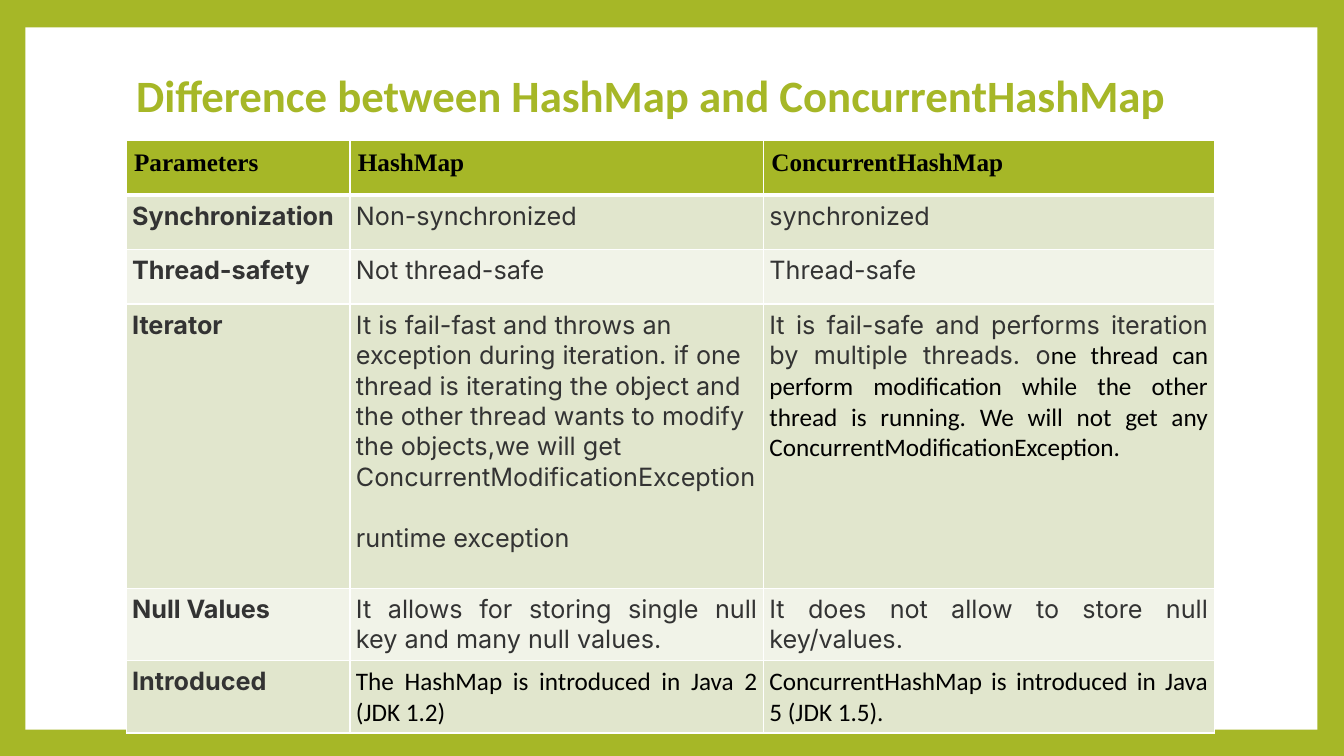
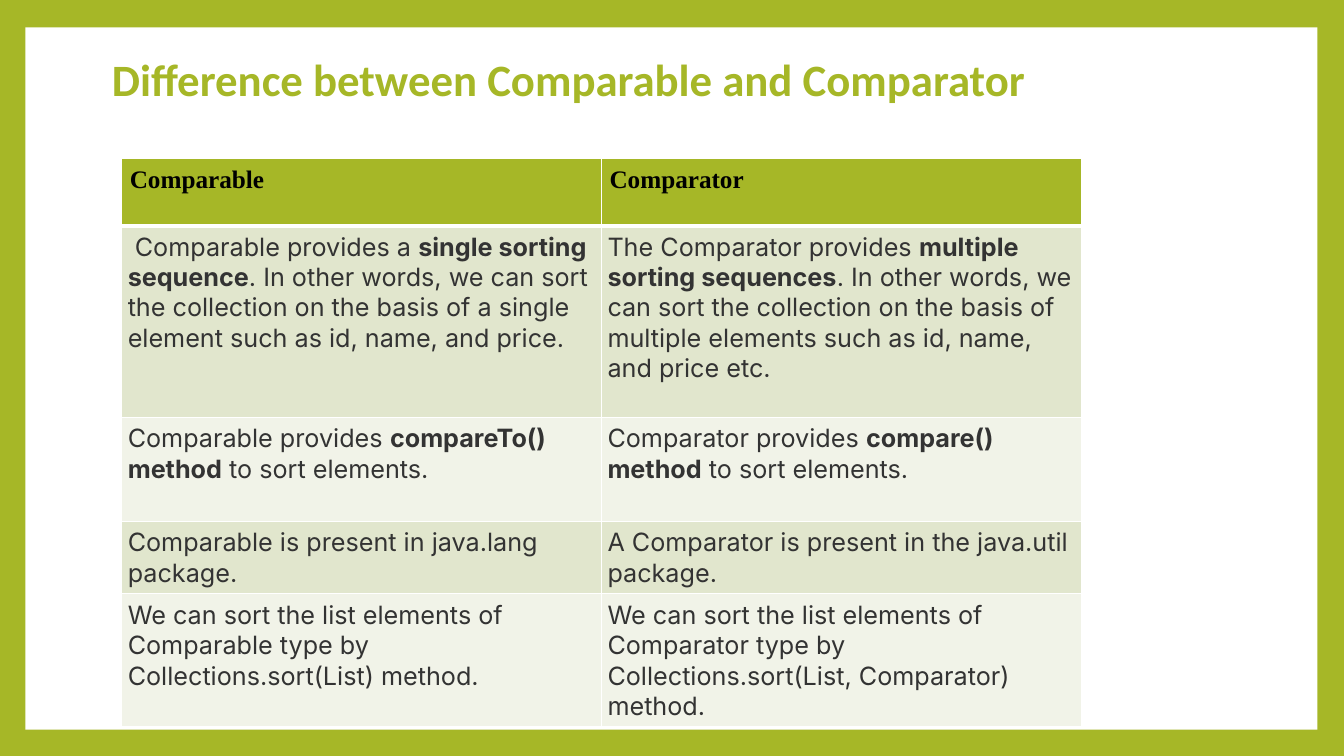
from dataclasses import dataclass

from lxml import etree
from pptx import Presentation
from pptx.dml.color import RGBColor
from pptx.enum.shapes import MSO_SHAPE
from pptx.enum.text import MSO_ANCHOR, PP_ALIGN
from pptx.oxml.ns import qn
from pptx.util import Cm, Pt

RECTANGLE = MSO_SHAPE.RECTANGLE
MIDDLE = MSO_ANCHOR.MIDDLE
LEFT, JUSTIFY = PP_ALIGN.LEFT, PP_ALIGN.JUSTIFY

GREEN, WHITE, BLACK, GREY = "A6B727", "FFFFFF", "000000", "333333"
BANDS = ("E1E6CD", "F1F3E8")
TITLE_SIZE, TABLE_SIZE = 32, 18
HEADER_INSET, BODY_INSET = 0.2, 0.15
PARAGRAPH_GAP = 22


@dataclass(frozen=True)
class Style:
    name: str
    color: str
    bold: bool = False
    size: int = TABLE_SIZE


TITLE = Style("Calibri", GREEN, True, TITLE_SIZE)
HEADER = Style("Times New Roman", BLACK, True)
BODY = Style("Inter", GREY)
STRONG = Style("Inter", GREY, True)
PLAIN = Style("Calibri", BLACK)


@dataclass(frozen=True)
class Entry:
    """Content of a table cell: each paragraph is a list of (text, style) spans."""
    paragraphs: list
    align: int = LEFT


def entry(text, style=BODY, align=LEFT):
    return Entry([[(text, style)]], align)


def justified(text, style=BODY):
    return entry(text, style, JUSTIFY)


def emphasised(before, strong, after):
    return Entry([[(before, BODY), (strong, STRONG), (after, BODY)]])


def rgb(color):
    return RGBColor.from_string(color)


def apply_style(font, style):
    font.name = style.name
    font.size = Pt(style.size)
    font.bold = style.bold
    font.color.rgb = rgb(style.color)


def write_paragraph(para, spans):
    styles = {style for _, style in spans}
    if len(styles) == 1:
        apply_style(para.font, spans[0][1])
    for text, style in spans:
        span = para.add_run()
        span.text = text
        if len(styles) > 1:
            apply_style(span.font, style)


def set_borders(cell, top, bottom):
    """Draw white borders; top and bottom are widths in points."""
    properties = cell._tc.get_or_add_tcPr()
    for side, width in (("L", 1), ("R", 1), ("T", top), ("B", bottom)):
        line = etree.SubElement(properties, qn(f"a:ln{side}"), w=str(Pt(width)))
        fill = etree.SubElement(line, qn("a:solidFill"))
        etree.SubElement(fill, qn("a:srgbClr"), val=WHITE)


def fill_cell(cell, content, color, inset):
    cell.fill.solid()
    cell.fill.fore_color.rgb = rgb(color)
    cell.margin_left = cell.margin_right = Cm(inset)
    cell.margin_top = cell.margin_bottom = Cm(inset)
    frame = cell.text_frame
    for index, spans in enumerate(content.paragraphs):
        para = frame.add_paragraph() if index else frame.paragraphs[0]
        para.alignment = content.align
        if index:
            para.space_before = Pt(PARAGRAPH_GAP)
        write_paragraph(para, spans)


def add_comparison(page, left, top, widths, heights, headings, rows):
    entries = [[entry(heading, HEADER) for heading in headings], *rows]
    table = page.shapes.add_table(
        len(heights), len(widths), Cm(left), Cm(top),
        Cm(sum(widths)), Cm(sum(heights))).table
    for column, width in zip(table.columns, widths):
        column.width = Cm(width)
    for number, (row, height) in enumerate(zip(table.rows, heights)):
        row.height = Cm(height)
        is_header = number == 0
        color = GREEN if is_header else BANDS[(number - 1) % 2]
        inset = HEADER_INSET if is_header else BODY_INSET
        for cell, content in zip(row.cells, entries[number]):
            set_borders(cell, 3 if number == 1 else 1, 3 if is_header else 1)
            fill_cell(cell, content, color, inset)


def add_page(deck):
    """Add a page with the white panel inside the green frame."""
    page = deck.slides.add_slide(deck.slide_layouts[6])
    panel = page.shapes.add_shape(
        RECTANGLE, Cm(0.64), Cm(0.69), Cm(32.56), Cm(17.7))
    panel.shadow.inherit = False
    panel.fill.solid()
    panel.fill.fore_color.rgb = rgb(WHITE)
    panel.line.fill.background()
    return page


def add_title(page, text, left, top, width, height):
    box = page.shapes.add_textbox(Cm(left), Cm(top), Cm(width), Cm(height))
    frame = box.text_frame
    frame.word_wrap = True
    frame.vertical_anchor = MIDDLE
    para = frame.paragraphs[0]
    para.line_spacing = 0.9
    write_paragraph(para, [(text, TITLE)])


def build_hashmap_page(deck):
    page = add_page(deck)
    add_title(page, "Difference between HashMap and ConcurrentHashMap",
              3.18, 1.7, 27.43, 1.55)
    fail_fast = Entry([
        [("It is fail-fast and throws an exception during iteration. if one "
          "thread is iterating the object and the other thread wants to modify "
          "the objects,we will get ConcurrentModificationException", BODY)],
        [("runtime exception", BODY)],
    ])
    fail_safe = Entry([[
        ("It is fail-safe and performs iteration by multiple threads. o", BODY),
        ("ne thread can perform modification while the other thread is running. "
         "We will not get any ConcurrentModificationException.", PLAIN),
    ]], JUSTIFY)
    rows = [
        ("Synchronization", justified("Non-synchronized"),
         justified("synchronized")),
        ("Thread-safety", justified("Not thread-safe"), justified("Thread-safe")),
        ("Iterator", fail_fast, fail_safe),
        ("Null Values",
         justified("It allows for storing single null key and many null values."),
         justified("It does not allow to store null key/values.")),
        ("Introduced",
         justified("The HashMap is introduced in Java 2 (JDK 1.2)", PLAIN),
         justified("ConcurrentHashMap is introduced in Java 5 (JDK 1.5).", PLAIN)),
    ]
    add_comparison(
        page, 3.18, 3.55, (5.64, 10.42, 11.36),
        (1.37, 1.37, 1.37, 7.16, 1.81, 1.81),
        ("Parameters", "HashMap", "ConcurrentHashMap"),
        [(justified(name, STRONG), *values) for name, *values in rows])


def build_comparator_page(deck):
    page = add_page(deck)
    add_title(page, "Difference between Comparable and Comparator",
              2.57, 0.97, 26.77, 2.18)
    rows = [
        (emphasised(" Comparable provides a ", "single sorting sequence",
                    ". In other words, we can sort the collection on the basis "
                    "of a single element such as id, name, and price."),
         emphasised("The Comparator provides ", "multiple sorting sequences",
                    ". In other words, we can sort the collection on the basis "
                    "of multiple elements such as id, name, and price etc.")),
        (emphasised("Comparable provides ", "compareTo() method",
                    " to sort elements."),
         emphasised("Comparator provides ", "compare() method",
                    " to sort elements.")),
        (entry("Comparable is present in java.lang package."),
         entry("A Comparator is present in the java.util package.")),
        (entry("We can sort the list elements of Comparable type by "
               "Collections.sort(List) method."),
         entry("We can sort the list elements of Comparator type by "
               "Collections.sort(List, Comparator) method.")),
    ]
    add_comparison(page, 3.07, 3.99, (12.09, 12.09),
                   (1.7, 4.83, 2.62, 1.82, 3.34),
                   ("Comparable", "Comparator"), rows)


def main():
    deck = Presentation()
    deck.slide_width, deck.slide_height = Cm(33.87), Cm(19.05)
    background = deck.slide_master.background.fill
    background.solid()
    background.fore_color.rgb = rgb(GREEN)
    build_hashmap_page(deck)
    build_comparator_page(deck)
    deck.save("out.pptx")


if __name__ == "__main__":
    main()
